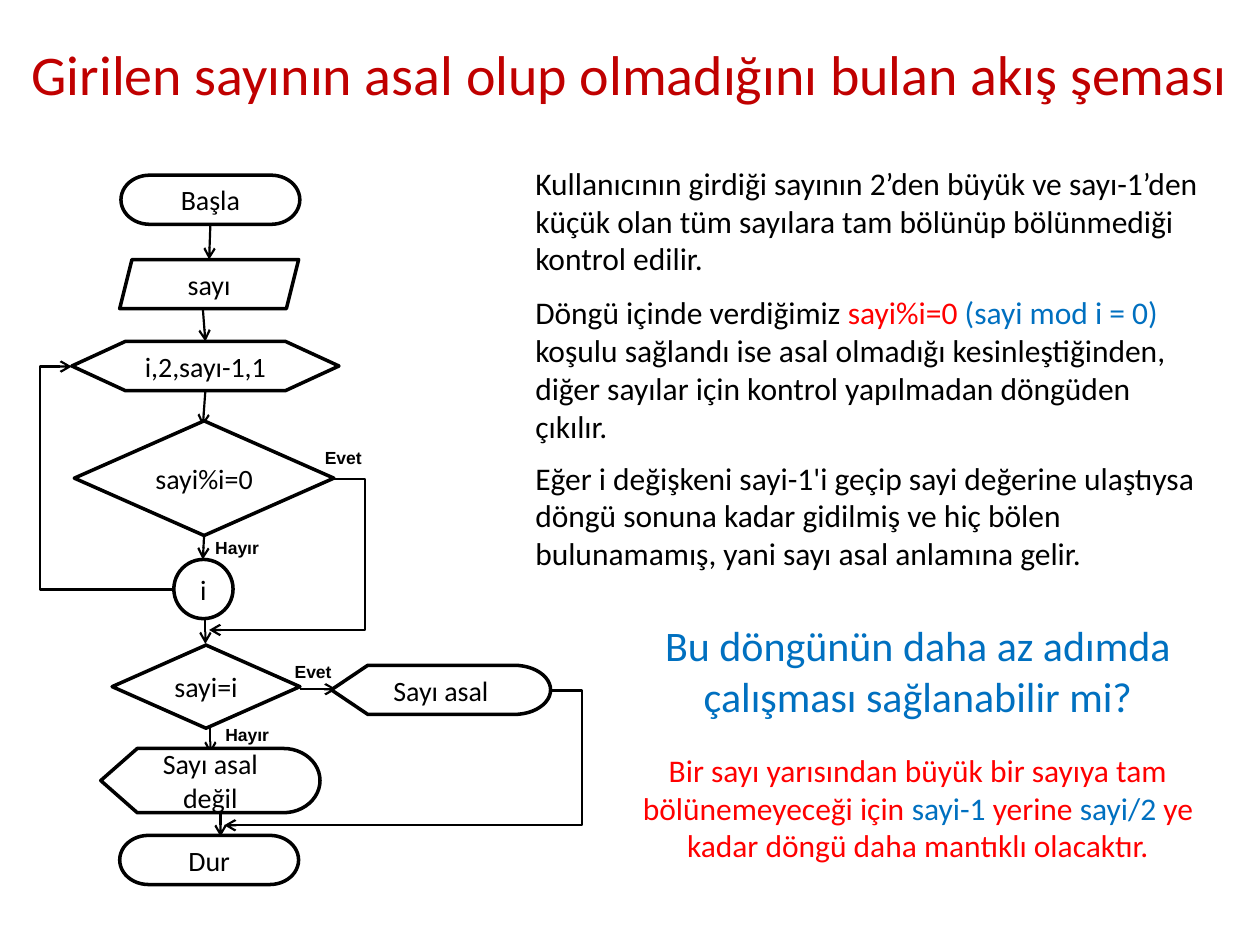
"""Build a slide with the flow chart that tests whether a number is prime."""
import lxml.etree
import pptx
import pptx.dml.color
import pptx.enum.shapes
import pptx.enum.text
import pptx.oxml.ns
import pptx.util

BLACK, WHITE, RED, BLUE, DARK_RED = "000000", "FFFFFF", "FF0000", "0070C0", "C00000"
Shape = pptx.enum.shapes.MSO_SHAPE
Align = pptx.enum.text.PP_ALIGN
Anchor = pptx.enum.text.MSO_ANCHOR
qn = pptx.oxml.ns.qn

deck = pptx.Presentation()
deck.slide_width, deck.slide_height = pptx.util.Inches(10), pptx.util.Inches(7.5)
column, row = deck.slide_width / 100, deck.slide_height / 75
slide = deck.slides.add_slide(deck.slide_layouts[5])


def colour(target, value):
    target.rgb = pptx.dml.color.RGBColor.from_string(value)


def write(frame, runs, align, anchor, **formats):
    frame.word_wrap = True
    frame.auto_size = pptx.enum.text.MSO_AUTO_SIZE.NONE
    frame.vertical_anchor = anchor
    sentence = frame.paragraphs[0]
    sentence.alignment = align
    for words, ink in runs:
        run = sentence.add_run()
        run.text = words
        for name, value in formats.items():
            setattr(run.font, name, value)
        colour(run.font.color, ink)


heading = slide.shapes.title
heading.left, heading.top = 0, 0
heading.width, heading.height = deck.slide_width, int(11.6 * row)
write(heading.text_frame, [("Girilen sayının asal olup olmadığını bulan akış şeması", DARK_RED)],
      Align.CENTER, Anchor.MIDDLE, size=pptx.util.Pt(32), name="Calibri")

arrows = [
    (16.7, 17.8, 16.6, 20.6, None),
    (16.1, 24.5, 16.3, 27.1, None),
    (16.3, 31, 16.1, 33.8, None),
    (16.2, 42.5, 16.1, 44.4, None),
    (16.3, 49.1, 16.3, 51.1, None),
    (16.7, 57.8, 16.7, 59.8, None),
    (23.8, 54.7, 26.7, 54.7, None),
    (17.5, 64.5, 17.5, 66.4, None),
    (13.8, 46.8, 5.7, 29.1, 3.2),
    (26.5, 38, 16.6, 50, 29),
    (43.7, 54.8, 17.8, 65.5, 46.2),
]
Route = pptx.enum.shapes.MSO_CONNECTOR
for start_x, start_y, end_x, end_y, lane in arrows:
    arrow = slide.shapes.add_connector(
        Route.ELBOW if lane else Route.STRAIGHT,
        int(start_x * column), int(start_y * row), int(end_x * column), int(end_y * row))
    colour(arrow.line.color, BLACK)
    arrow.line.width = pptx.util.Pt(1.25)
    properties = arrow._element.spPr
    lxml.etree.SubElement(properties.find(qn("a:ln")), qn("a:tailEnd"), type="arrow")
    lxml.etree.SubElement(properties, qn("a:effectLst"))
    if lane:
        bend = round((lane - start_x) / (end_x - start_x) * 100000)
        lxml.etree.SubElement(properties.find(".//" + qn("a:avLst")), qn("a:gd"),
                              name="adj1", fmla=f"val {bend}")

steps = [
    ("Başla", Shape.FLOWCHART_TERMINATOR, 9.6, 13.9, 14.2, 3.9),
    ("sayı", Shape.PARALLELOGRAM, 9.5, 20.6, 14.2, 3.9),
    ("i,2,sayı-1,1", Shape.FLOWCHART_PREPARATION, 5.7, 27.1, 21.2, 3.9),
    ("sayi%i=0", Shape.FLOWCHART_DECISION, 5.9, 33.4, 20.6, 9.1),
    ("i", Shape.FLOWCHART_CONNECTOR, 13.8, 44.4, 4.7, 4.7),
    ("sayi=i", Shape.FLOWCHART_DECISION, 8.9, 51.2, 14.9, 6.6),
    ("Sayı asal", Shape.FLOWCHART_DISPLAY, 26.3, 52.8, 17.4, 3.9),
    ("Sayı asal değil", Shape.FLOWCHART_DISPLAY, 8, 59.4, 17.4, 5.1),
    ("Dur", Shape.FLOWCHART_TERMINATOR, 9.5, 66.3, 14.2, 3.9),
]
for words, outline, left, top, width, height in steps:
    step = slide.shapes.add_shape(outline, int(left * column), int(top * row),
                                  int(width * column), int(height * row))
    step.shadow.inherit = False
    if outline == Shape.FLOWCHART_TERMINATOR:
        step.fill.background()
    else:
        step.fill.solid()
        colour(step.fill.fore_color, WHITE)
    colour(step.line.color, BLACK)
    step.line.width = pptx.util.Pt(2)
    write(step.text_frame, [(words, BLACK)], Align.CENTER, Anchor.MIDDLE,
          size=pptx.util.Pt(16), name="Calibri")

branch = {"size": pptx.util.Pt(10), "name": "Arial", "bold": True}
body = {"size": pptx.util.Pt(18), "name": "Calibri"}
question = {"size": pptx.util.Pt(24), "name": "Calibri"}
passages = [
    (24.8, 35, 5.5, 2.7, Align.LEFT, branch, [("Evet", BLACK)]),
    (16.1, 42.1, 5.5, 2.7, Align.LEFT, branch, [("Hayır", BLACK)]),
    (22.4, 52, 5.5, 2.7, Align.LEFT, branch, [("Evet", BLACK)]),
    (16.9, 57, 5.5, 2.7, Align.LEFT, branch, [("Hayır", BLACK)]),
    (41.5, 12.5, 55, 10.1, Align.LEFT, body, [
        ("Kullanıcının girdiği sayının 2’den büyük ve sayı-1’den küçük olan tüm sayılara "
         "tam bölünüp bölünmediği kontrol edilir.", BLACK)]),
    (41.5, 22.8, 55, 13.1, Align.LEFT, body, [
        ("Döngü içinde verdiğimiz ", BLACK), ("sayi%i=0 ", RED), ("(sayi mod i = 0)", BLUE),
        (" koşulu sağlandı ise asal olmadığı kesinleştiğinden, diğer sayılar için kontrol "
         "yapılmadan döngüden çıkılır.", BLACK)]),
    (41.5, 35.9, 55, 10.1, Align.LEFT, body, [
        ("Eğer i değişkeni sayi-1'i geçip sayi değerine ulaştıysa döngü sonuna kadar "
         "gidilmiş ve hiç bölen bulunamamış, yani sayı asal anlamına gelir.", BLACK)]),
    (51.4, 48.7, 42.9, 9.1, Align.CENTER, question, [
        ("Bu döngünün daha az adımda çalışması sağlanabilir mi?", BLUE)]),
    (49.3, 59.1, 47.1, 10.1, Align.CENTER, body, [
        ("Bir sayı yarısından büyük bir sayıya tam bölünemeyeceği için ", RED),
        ("sayi-1", BLUE), (" yerine ", RED), ("sayi/2", BLUE),
        (" ye kadar döngü daha mantıklı olacaktır.", RED)]),
]
for left, top, width, height, align, formats, runs in passages:
    passage = slide.shapes.add_textbox(int(left * column), int(top * row),
                                       int(width * column), int(height * row))
    write(passage.text_frame, runs, align, Anchor.TOP, **formats)

deck.save("out.pptx")
